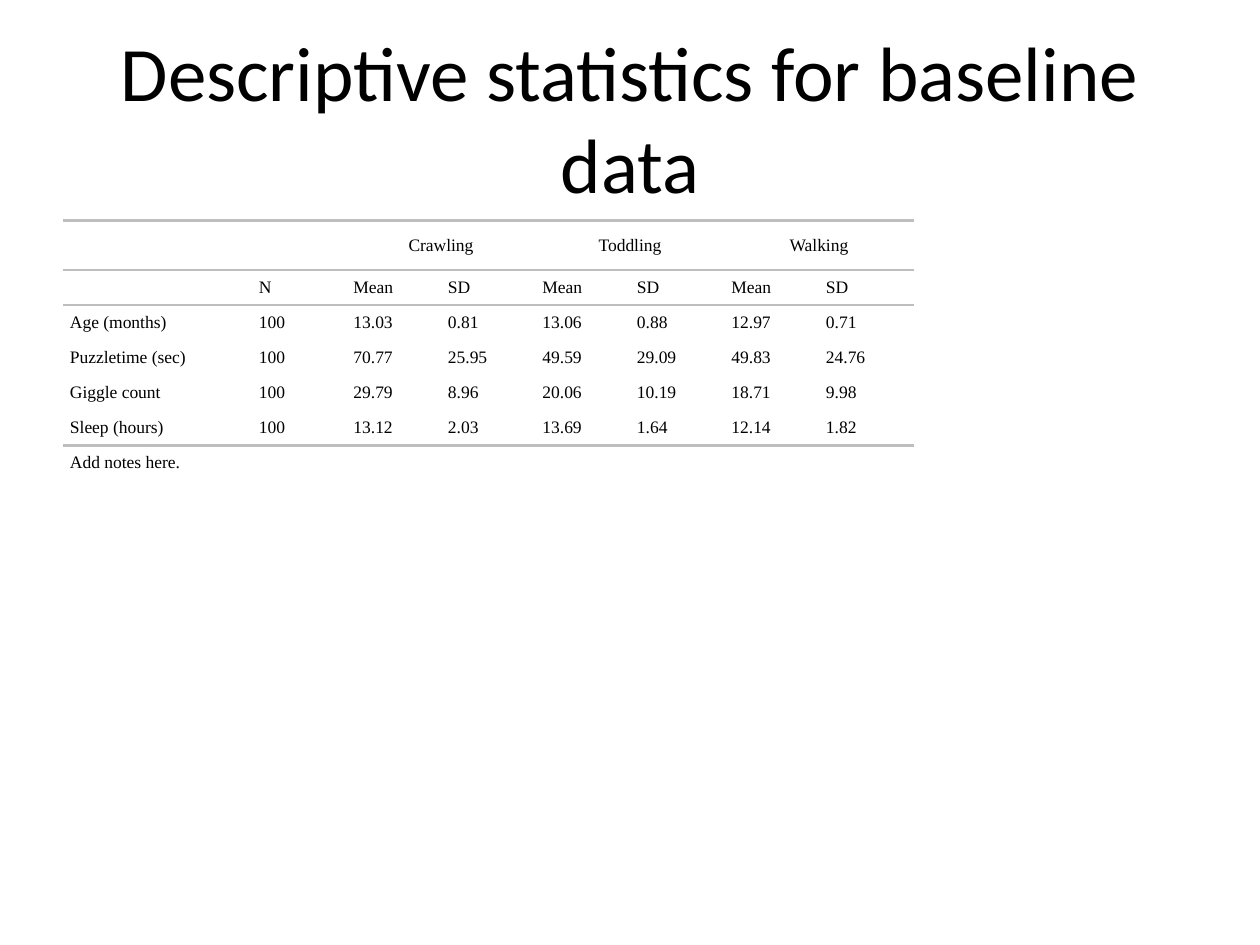
from lxml.etree import SubElement
from pptx import Presentation
from pptx.dml.color import RGBColor
from pptx.enum.text import MSO_ANCHOR, PP_ALIGN
from pptx.oxml.ns import qn
from pptx.util import Pt

BLACK = RGBColor(0x00, 0x00, 0x00)
WHITE = RGBColor(0xFF, 0xFF, 0xFF)
GREY = RGBColor(0xBE, 0xBE, 0xBE)
NO_GRID_STYLE = "{2D5ABB26-0587-4C30-8999-92F81FD0307C}"

GROUPS = ["Crawling", "Toddling", "Walking"]
GROUP_HEADER = ["", ""] + [text for group in GROUPS for text in (group, "")]
COLUMN_HEADER = ["", "N"] + ["Mean", "SD"] * len(GROUPS)
MEASURES = [
    ["Age (months)", "100", "13.03", "0.81", "13.06", "0.88", "12.97", "0.71"],
    ["Puzzletime (sec)", "100", "70.77", "25.95", "49.59", "29.09", "49.83", "24.76"],
    ["Giggle count", "100", "29.79", "8.96", "20.06", "10.19", "18.71", "9.98"],
    ["Sleep (hours)", "100", "13.12", "2.03", "13.69", "1.64", "12.14", "1.82"],
]
NOTES = ["Add notes here."] + [""] * 7
ROWS = [GROUP_HEADER, COLUMN_HEADER, *MEASURES, NOTES]
COLUMN_WIDTHS = [108] + [54] * 7
ROW_HEIGHTS = [28.4] + [18] * 6
RULES = {0: ("lnT", "lnB"), 1: ("lnT", "lnB"), 5: ("lnB",)}


class StatisticsSlide:
    title_font, title_size = "Calibri", 44
    table_font, table_size = "Times New Roman", 10
    padding = Pt(4)
    rule_width = Pt(1.5)

    def __init__(self, slide):
        self.slide = slide

    def add_run(self, paragraph, text, font, size):
        run = paragraph.add_run()
        run.text = text
        run.font.name = font
        run.font.size = Pt(size)
        run.font.color.rgb = BLACK

    def title(self, text, left, top, width, height):
        box = self.slide.shapes.add_textbox(Pt(left), Pt(top), Pt(width), Pt(height))
        frame = box.text_frame
        frame.word_wrap = True
        frame.vertical_anchor = MSO_ANCHOR.MIDDLE
        paragraph = frame.paragraphs[0]
        paragraph.alignment = PP_ALIGN.CENTER
        self.add_run(paragraph, text, self.title_font, self.title_size)

    def rule(self, cell, edge):
        """Draw one border; edge is the tag of that side, such as lnT."""
        properties = cell._tc.get_or_add_tcPr()
        line = SubElement(properties, qn(f"a:{edge}"), w=str(self.rule_width))
        fill = SubElement(line, qn("a:solidFill"))
        SubElement(fill, qn("a:srgbClr"), val=str(GREY))

    def cell(self, cell, text, alignment, edges):
        cell.margin_left = cell.margin_right = 0
        cell.margin_top = cell.margin_bottom = self.padding
        cell.vertical_anchor = MSO_ANCHOR.MIDDLE
        for edge in edges:
            self.rule(cell, edge)
        cell.fill.solid()
        cell.fill.fore_color.rgb = WHITE
        paragraph = cell.text_frame.paragraphs[0]
        paragraph.alignment = alignment
        paragraph.space_before = paragraph.space_after = self.padding
        indents = paragraph._p.get_or_add_pPr()
        for side in ("marL", "marR"):
            indents.set(side, str(self.padding))
        if text:
            self.add_run(paragraph, text, self.table_font, self.table_size)
        else:
            SubElement(paragraph._p, qn("a:endParaRPr"), sz=str(self.table_size * 100))

    def table(self, rows, left, top, widths, heights):
        frame = self.slide.shapes.add_table(
            len(rows), len(widths), Pt(left), Pt(top), Pt(sum(widths)), Pt(sum(heights)))
        table = frame.table
        table.first_row = table.horz_banding = False
        table._tbl.tblPr.find(qn("a:tableStyleId")).text = NO_GRID_STYLE
        for column, width in zip(table.columns, widths):
            column.width = Pt(width)
        for row, height in zip(table.rows, heights):
            row.height = Pt(height)
        for r, row in enumerate(rows):
            alignment = PP_ALIGN.CENTER if r == 0 else PP_ALIGN.LEFT
            for c, text in enumerate(row):
                self.cell(table.cell(r, c), text, alignment, RULES.get(r, ()))
        for c in range(0, len(widths), 2):
            table.cell(0, c).merge(table.cell(0, c + 1))
        last = len(rows) - 1
        table.cell(last, 0).merge(table.cell(last, len(widths) - 1))


def main():
    presentation = Presentation()
    presentation.slide_width, presentation.slide_height = Pt(720), Pt(540)
    page = StatisticsSlide(presentation.slides.add_slide(presentation.slide_layouts[6]))
    page.title("Descriptive statistics for baseline data", 36, 21.6, 648, 90)
    page.table(ROWS, 36, 126, COLUMN_WIDTHS, ROW_HEIGHTS)
    presentation.save("out.pptx")


if __name__ == "__main__":
    main()
